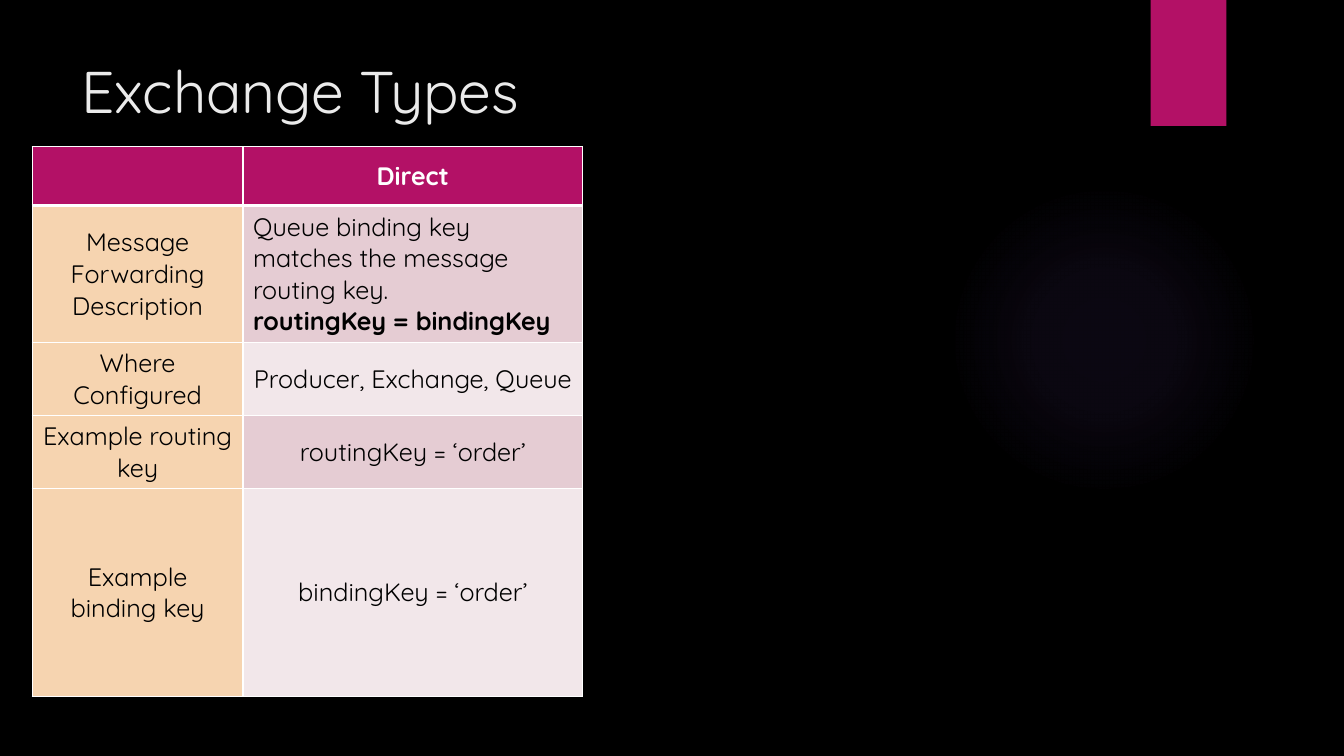
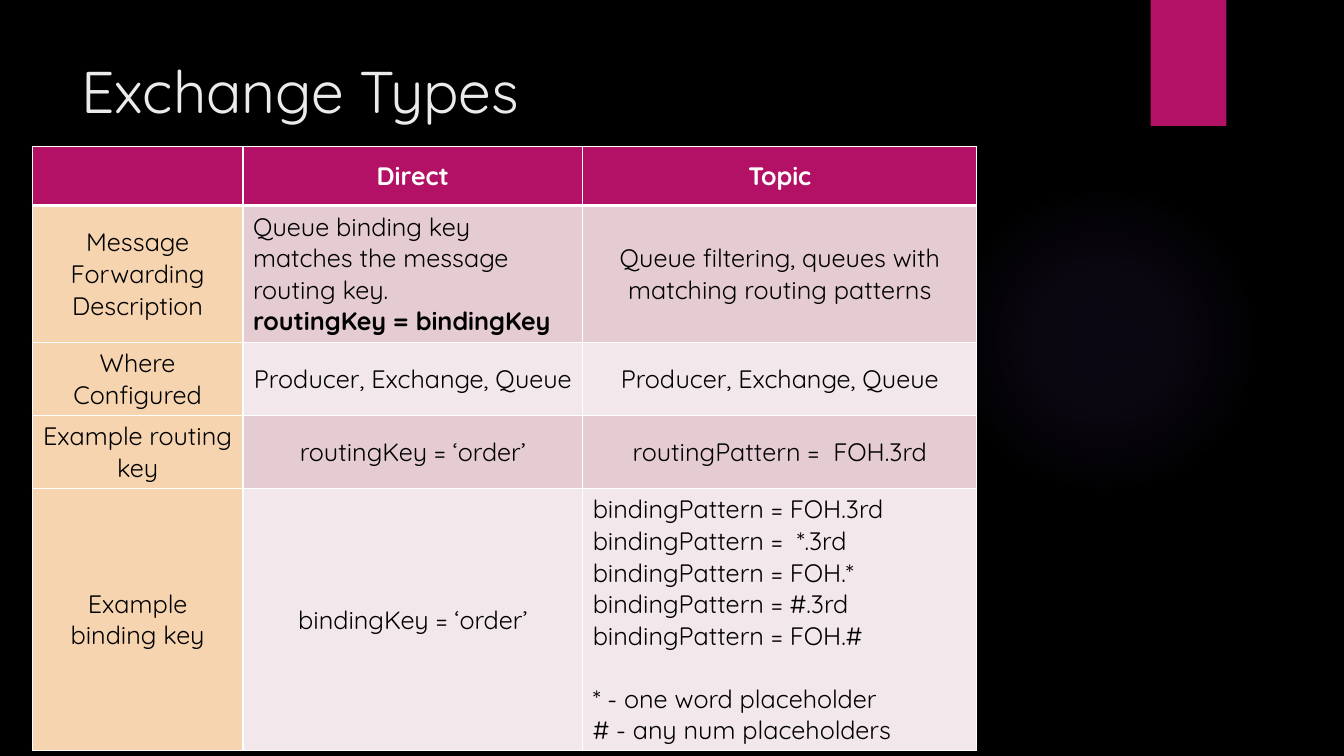
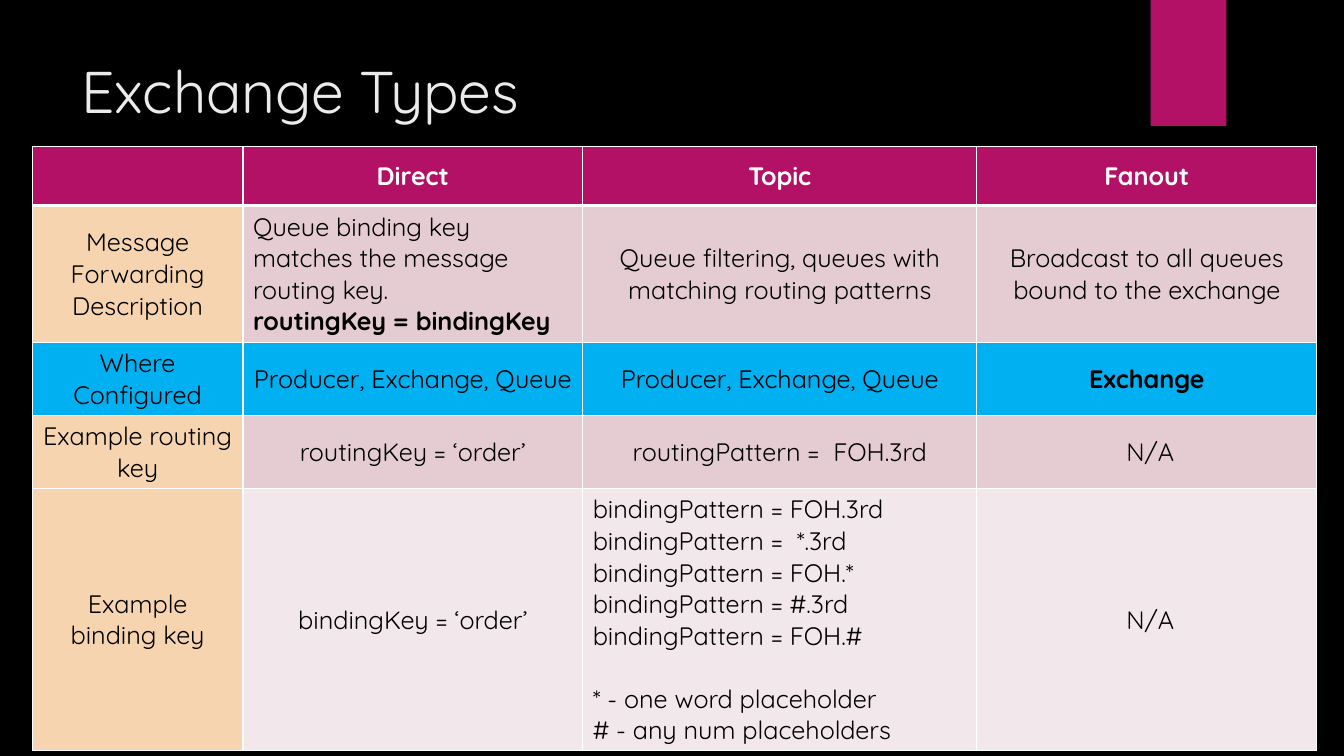
from dataclasses import dataclass

from pptx import Presentation
from pptx import util as u
from pptx.dml.color import RGBColor
from pptx.enum import shapes, text
from pptx.oxml import ns, parse_xml

# Shared look
BLACK = RGBColor(0x00, 0x00, 0x00)
WHITE = RGBColor(0xFF, 0xFF, 0xFF)
TITLE_GREY = RGBColor(0xEB, 0xEB, 0xEB)
MAGENTA = RGBColor(0xB3, 0x11, 0x66)
PEACH = RGBColor(0xF6, 0xD4, 0xB0)
DARK_BAND = RGBColor(0xE5, 0xCC, 0xD3)
LIGHT_BAND = RGBColor(0xF2, 0xE7, 0xEA)
HIGHLIGHT = RGBColor(0x00, 0xB0, 0xF0)
GLOW = RGBColor(0x9B, 0x6B, 0xF2)
FONT = "Quicksand"
TITLE_SIZE, BODY_SIZE = 42, 18
THIN, THICK = 1, 3

SLIDE_WIDTH, SLIDE_HEIGHT = u.Inches(13.33), u.Inches(7.5)


def across(percent: float) -> int:
    return round(SLIDE_WIDTH * percent / 100)


def down(percent: float) -> int:
    return round(SLIDE_HEIGHT * percent / 100)


@dataclass(frozen=True)
class Box:
    """A place given in percent of the slide's width and height."""
    left: float
    top: float
    width: float
    height: float

    def emu(self) -> tuple[int, int, int, int]:
        return across(self.left), down(self.top), across(self.width), down(self.height)


@dataclass(frozen=True)
class Line:
    text: str
    bold: bool = False
    space_before: float = 0


@dataclass(frozen=True)
class Entry:
    lines: tuple[Line, ...]
    align: text.PP_ALIGN = text.PP_ALIGN.CENTER


@dataclass(frozen=True)
class Column:
    width: float
    entries: tuple[Entry, ...]


@dataclass(frozen=True)
class Page:
    columns: int
    last_row_height: float
    highlighted_row: int | None = None


GLOW_BOX = Box(70.58, 24.4, 23.1, 41.07)
TAG_BOX = Box(85.62, 0, 5.63, 16.67)
TITLE_BOX = Box(5.33, 6.6, 82.5, 20.4)
TABLE_LEFT, TABLE_TOP = 2.4, 19.4
UPPER_ROW_HEIGHTS = (7.8, 18.13, 9.66, 9.66)
SHORT_LAST_ROW, TALL_LAST_ROW = 27.47, 34.66


# Table content
def centred(*texts: str, bold: bool = False) -> tuple[Entry, ...]:
    return tuple(Entry((Line(item, bold),)) for item in texts)


def left_aligned(*lines: Line) -> Entry:
    return Entry(lines, text.PP_ALIGN.LEFT)


COLUMNS = (
    Column(15.68, centred(
        "", "Message Forwarding Description", "Where Configured",
        "Example routing key", "Example binding key")),
    Column(25.28, (
        *centred("Direct", bold=True),
        left_aligned(Line("Queue binding key matches the message routing key."),
                     Line("routingKey = bindingKey", bold=True)),
        *centred("Producer, Exchange, Queue", "routingKey = ‘order’",
                 "bindingKey = ‘order’"))),
    Column(29.33, (
        *centred("Topic", bold=True),
        *centred("Queue filtering, queues with matching routing patterns",
                 "Producer, Exchange, Queue", "routingPattern =  FOH.3rd"),
        left_aligned(Line("bindingPattern = FOH.3rd"),
                     Line("bindingPattern =  *.3rd"),
                     Line("bindingPattern = FOH.*"),
                     Line("bindingPattern = #.3rd"),
                     Line("bindingPattern = FOH.#"),
                     Line("* - one word placeholder", space_before=22.5),
                     Line("# - any num placeholders")))),
    Column(25.28, (
        *centred("Fanout", bold=True),
        *centred("Broadcast to all queues bound to the exchange"),
        *centred("Exchange", bold=True),
        *centred(" N/A", " N/A"))),
)

PAGES = (
    Page(2, SHORT_LAST_ROW),
    Page(3, TALL_LAST_ROW),
    Page(4, TALL_LAST_ROW, highlighted_row=2),
)


# Drawing
def style_font(font, size: float, color: RGBColor, bold: bool = False) -> None:
    font.name, font.size, font.bold = FONT, u.Pt(size), bold
    font.color.rgb = color


def add_plain_shape(slide, kind: shapes.MSO_SHAPE, box: Box):
    shape = slide.shapes.add_shape(kind, *box.emu())
    shape.shadow.inherit = False
    shape.line.fill.background()
    return shape


def add_backdrop(slide) -> None:
    glow = add_plain_shape(slide, shapes.MSO_SHAPE.OVAL, GLOW_BOX)
    glow.fill.gradient()
    stops = "".join(
        f'<a:gs pos="{place * 1000}"><a:srgbClr val="{GLOW}">'
        f'<a:alpha val="{opacity * 1000}"/></a:srgbClr></a:gs>'
        for place, opacity in ((0, 7), (36, 6), (69, 0)))
    radial = parse_xml(
        f'<a:gradFill {ns.nsdecls("a")}><a:gsLst>{stops}</a:gsLst><a:path path="circle">'
        '<a:fillToRect l="50000" t="50000" r="50000" b="50000"/></a:path></a:gradFill>')
    properties = glow._element.spPr
    properties.replace(properties.find(ns.qn("a:gradFill")), radial)

    tag = add_plain_shape(slide, shapes.MSO_SHAPE.RECTANGLE, TAG_BOX)
    tag.fill.solid()
    tag.fill.fore_color.rgb = MAGENTA


def add_title(slide, title: str) -> None:
    frame = slide.shapes.add_textbox(*TITLE_BOX.emu()).text_frame
    frame.word_wrap = True
    frame.text = title
    style_font(frame.paragraphs[0].runs[0].font, TITLE_SIZE, TITLE_GREY)


def set_borders(cell, top: float, bottom: float) -> None:
    properties = cell._tc.get_or_add_tcPr()
    widths = {"L": THIN, "R": THIN, "T": top, "B": bottom}
    for position, (side, width) in enumerate(widths.items()):
        properties.insert(position, parse_xml(
            f'<a:ln{side} {ns.nsdecls("a")} w="{u.Pt(width)}"><a:solidFill>'
            f'<a:srgbClr val="{WHITE}"/></a:solidFill></a:ln{side}>'))


def cell_fill(row: int, column: int, highlighted_row: int | None) -> RGBColor:
    if row == 0:
        return MAGENTA
    if row == highlighted_row:
        return HIGHLIGHT
    if column == 0:
        return PEACH
    return DARK_BAND if row % 2 else LIGHT_BAND


def fill_cell(cell, entry: Entry, color: RGBColor) -> None:
    cell.vertical_anchor = text.MSO_ANCHOR.MIDDLE
    cell.text_frame.text = "\n".join(line.text for line in entry.lines)
    for para, line in zip(cell.text_frame.paragraphs, entry.lines):
        para.alignment = entry.align
        para.space_before = u.Pt(line.space_before)
        for span in para.runs:
            style_font(span.font, BODY_SIZE, color, line.bold)


def add_exchange_table(slide, page: Page) -> None:
    columns = COLUMNS[:page.columns]
    heights = (*UPPER_ROW_HEIGHTS, page.last_row_height)
    box = Box(TABLE_LEFT, TABLE_TOP, sum(c.width for c in columns), sum(heights))
    table = slide.shapes.add_table(len(heights), len(columns), *box.emu()).table
    for row, height in enumerate(heights):
        table.rows[row].height = down(height)
    for index, column in enumerate(columns):
        table.columns[index].width = across(column.width)
        for row, entry in enumerate(column.entries):
            cell = table.cell(row, index)
            fill_cell(cell, entry, BLACK if row else WHITE)
            cell.fill.solid()
            cell.fill.fore_color.rgb = cell_fill(row, index, page.highlighted_row)
            set_borders(cell, top=THICK if row == 1 else THIN,
                        bottom=THICK if row == 0 else THIN)


def main() -> None:
    deck = Presentation()
    deck.slide_width, deck.slide_height = SLIDE_WIDTH, SLIDE_HEIGHT
    backdrop = deck.slide_master.background.fill
    backdrop.solid()
    backdrop.fore_color.rgb = BLACK
    for page in PAGES:
        slide = deck.slides.add_slide(deck.slide_layouts[6])
        add_backdrop(slide)
        add_title(slide, "Exchange Types")
        add_exchange_table(slide, page)
    deck.save("out.pptx")


if __name__ == "__main__":
    main()
